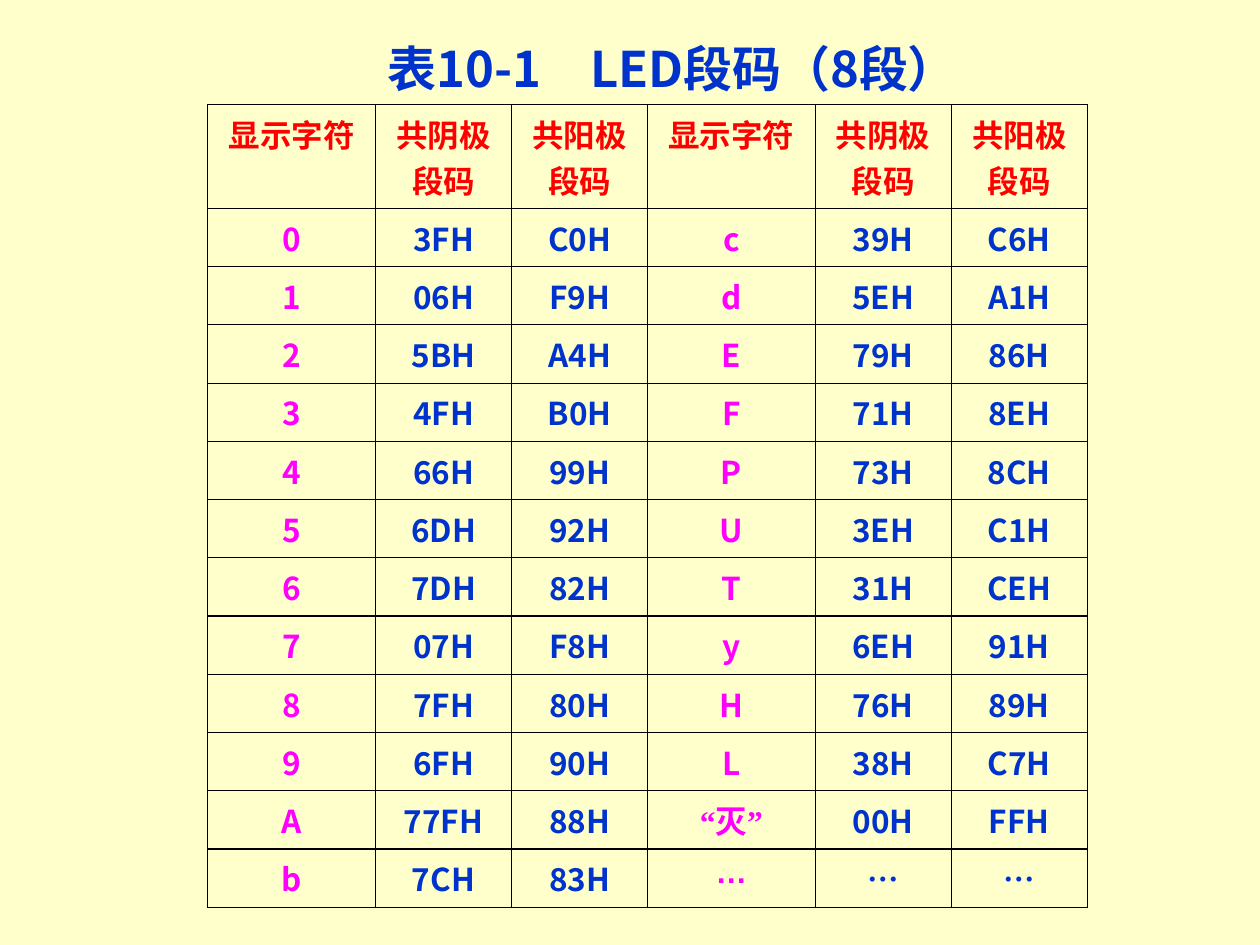
"""Build a slide with the table of eight-segment LED codes."""
from lxml.etree import SubElement
from pptx import Presentation
from pptx.dml.color import RGBColor
from pptx.enum.text import MSO_ANCHOR, MSO_AUTO_SIZE, PP_ALIGN
from pptx.oxml.ns import qn
from pptx.util import Inches, Pt

TITLE = "表10-1　LED段码（8段）"
HEADINGS = ["显示字符", "共阴极段码", "共阳极段码"] * 2
CODES = [
    ("0", "3FH", "C0H", "c", "39H", "C6H"),
    ("1", "06H", "F9H", "d", "5EH", "A1H"),
    ("2", "5BH", "A4H", "E", "79H", "86H"),
    ("3", "4FH", "B0H", "F", "71H", "8EH"),
    ("4", "66H", "99H", "P", "73H", "8CH"),
    ("5", "6DH", "92H", "U", "3EH", "C1H"),
    ("6", "7DH", "82H", "T", "31H", "CEH"),
    ("7", "07H", "F8H", "y", "6EH", "91H"),
    ("8", "7FH", "80H", "H", "76H", "89H"),
    ("9", "6FH", "90H", "L", "38H", "C7H"),
    ("A", "77FH", "88H", "“灭”", "00H", "FFH"),
    ("b", "7CH", "83H", "…", "…", "…"),
]
CREAM = RGBColor(0xFF, 0xFF, 0xCC)
BLUE = RGBColor(0x00, 0x33, 0xCC)
RED = RGBColor(0xFF, 0x00, 0x00)
MAGENTA = RGBColor(0xFF, 0x00, 0xFF)
FONT, QUOTE_FONT = "Noto Sans CJK SC", "Times New Roman"
SYMBOL_FONT, CODE_DOTS_FONT = "Arial", "Noto Sans CJK TC"
COLUMN_WIDTHS = [1.33, 1.08, 1.08] * 2
TABLE_LEFT, TABLE_TOP, TABLE_WIDTH, TABLE_HEIGHT = 1.65, 0.83, 7, 6.25
HEADER_HEIGHT = 0.8


def add_span(para, text, size, color, font_name=FONT):
    span = para.add_run()
    span.text = text
    span.font.size = Pt(size)
    span.font.bold = True
    span.font.name = font_name
    span.font.color.rgb = color
    SubElement(span.font._element, qn("a:ea"), typeface=font_name)


def add_borders(cell):
    properties = cell._tc.get_or_add_tcPr()
    for position, side in enumerate(("lnL", "lnR", "lnT", "lnB")):
        line = SubElement(properties, qn(f"a:{side}"), w=str(Pt(0.75)))
        fill = SubElement(line, qn("a:solidFill"))
        SubElement(fill, qn("a:srgbClr"), val="000000")
        properties.insert(position, line)


def pick_font(text, is_symbol):
    if text == "…":
        return SYMBOL_FONT if is_symbol else CODE_DOTS_FONT
    return QUOTE_FONT if text in "“”" else FONT


def fill_cell(cell, text, is_header, is_symbol):
    cell.fill.background()
    add_borders(cell)
    para = cell.text_frame.paragraphs[0]
    para.alignment = PP_ALIGN.CENTER
    color = RED if is_header else MAGENTA if is_symbol else BLUE
    pieces = list(text) if text.startswith("“") else [text]
    for piece in pieces:
        add_span(para, piece, 18, color, pick_font(piece, is_symbol))


def add_title(page):
    box = page.shapes.title
    box.left, box.top = Inches(2.67), Inches(0.25)
    box.width, box.height = Inches(5.33), Inches(0.57)
    frame = box.text_frame
    frame.word_wrap = True
    frame.auto_size = MSO_AUTO_SIZE.NONE
    frame.vertical_anchor = MSO_ANCHOR.MIDDLE
    para = frame.paragraphs[0]
    para.alignment = PP_ALIGN.CENTER
    add_span(para, TITLE, 28, BLUE)


def add_code_table(page):
    rows = [HEADINGS, *CODES]
    table = page.shapes.add_table(
        len(rows), len(HEADINGS), Inches(TABLE_LEFT), Inches(TABLE_TOP),
        Inches(TABLE_WIDTH), Inches(TABLE_HEIGHT)).table
    table.first_row = table.horz_banding = False
    for column, width in zip(table.columns, COLUMN_WIDTHS):
        column.width = Inches(width)
    code_height = (TABLE_HEIGHT - HEADER_HEIGHT) / len(CODES)
    for row_index, texts in enumerate(rows):
        is_header = row_index == 0
        table.rows[row_index].height = Inches(HEADER_HEIGHT if is_header else code_height)
        for column_index, text in enumerate(texts):
            fill_cell(table.cell(row_index, column_index), text, is_header,
                      column_index % 3 == 0)


def main():
    deck = Presentation()
    deck.slide_width, deck.slide_height = Inches(10), Inches(7.5)
    page = deck.slides.add_slide(deck.slide_layouts[5])
    page.background.fill.solid()
    page.background.fill.fore_color.rgb = CREAM
    add_code_table(page)
    add_title(page)
    deck.save("out.pptx")


if __name__ == "__main__":
    main()
